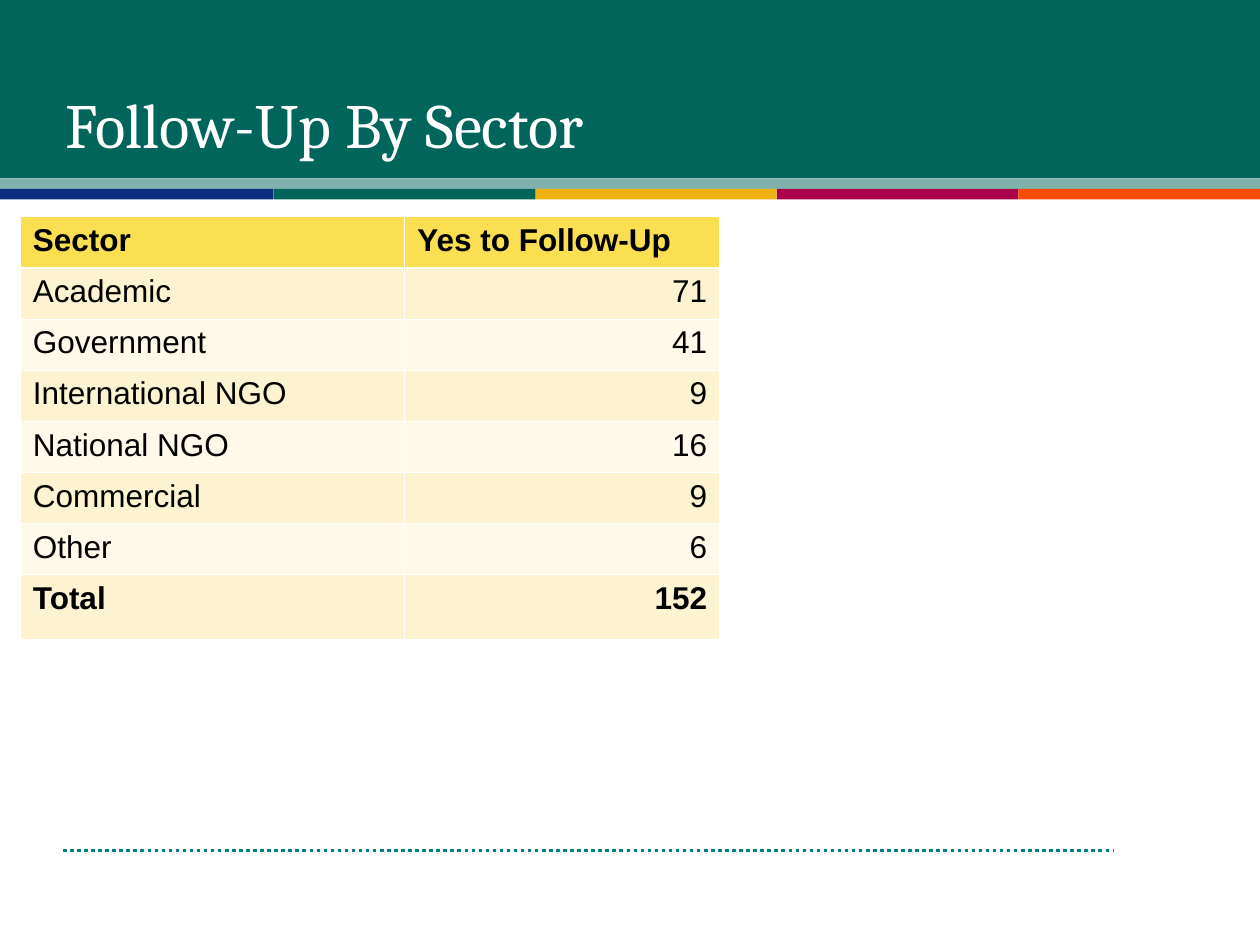
from itertools import pairwise

from lxml import etree
from pptx import Presentation
from pptx.dml.color import RGBColor
from pptx.enum import dml, shapes, text
from pptx.oxml import ns
from pptx.util import Cm, Pt

SLIDE_WIDTH, SLIDE_HEIGHT = 25.4, 19.05
BAND_HEIGHT = 0.21
GREEN, WHITE, BLACK = "01655B", "FFFFFF", "000000"
HEADER_FILL, ROW_FILLS = "FBDF53", ("FEF9E9", "FDF3D1")
STRIPE_EDGES = (0, 5.51, 10.8, 15.66, 20.53, SLIDE_WIDTH)
STRIPE_COLORS = ("0C2E82", GREEN, "EEB111", "AA014C", "F54C00")
SECTORS = [
    ("Sector", "Yes to Follow-Up"),
    ("Academic", "71"),
    ("Government", "41"),
    ("International NGO", "9"),
    ("National NGO", "16"),
    ("Commercial", "9"),
    ("Other", "6"),
    ("Total", "152"),
]


def color(value):
    return RGBColor.from_string(value)


def add_run(paragraph, words, font_name, size, font_color, bold=False):
    run = paragraph.add_run()
    run.text = words
    run.font.name, run.font.size, run.font.bold = font_name, Pt(size), bold
    run.font.color.rgb = color(font_color)


def add_band(slide, left, top, width, height, fill):
    shape = slide.shapes.add_shape(
        shapes.MSO_SHAPE.RECTANGLE, Cm(left), Cm(top), Cm(width), Cm(height))
    shape.shadow.inherit = False
    shape.fill.solid()
    shape.fill.fore_color.rgb = color(fill)
    shape.line.fill.background()


def add_dotted_line(slide, left, right, top):
    line = slide.shapes.add_connector(
        shapes.MSO_CONNECTOR.STRAIGHT, Cm(left), Cm(top), Cm(right), Cm(top))
    line.line.color.rgb = color("008080")
    line.line.width = Pt(2)
    line.line.dash_style = dml.MSO_LINE.ROUND_DOT
    etree.SubElement(line._element.spPr, ns.qn("a:effectLst"))


def set_title(slide, words):
    title = slide.shapes.title
    title.left, title.top = Cm(1.07), Cm(0.84)
    title.width, title.height = Cm(22.86), Cm(3.28)
    frame = title.text_frame
    frame.word_wrap = True
    frame.vertical_anchor = text.MSO_ANCHOR.MIDDLE
    paragraph = frame.paragraphs[0]
    paragraph.alignment = text.PP_ALIGN.LEFT
    add_run(paragraph, words, "Cambria", 36, WHITE)
    # Bring the title in front of the header bands
    slide.shapes._spTree.append(title._element)


def set_borders(cell, widths):
    properties = cell._tc.get_or_add_tcPr()
    for position, (side, width) in enumerate(widths.items()):
        border = etree.Element(ns.qn(f"a:{side}"), w=str(Pt(width)))
        fill = etree.SubElement(border, ns.qn("a:solidFill"))
        etree.SubElement(fill, ns.qn("a:srgbClr"), val=WHITE)
        properties.insert(position, border)


def add_sector_table(slide):
    widths, row_height, total_height = (7.75, 6.35), 1.03, 1.3
    last = len(SECTORS) - 1
    table = slide.shapes.add_table(
        len(SECTORS), len(widths), Cm(0.41), Cm(4.37),
        Cm(sum(widths)), Cm(row_height * last + total_height)).table
    for column, width in zip(table.columns, widths):
        column.width = Cm(width)
    for i, values in enumerate(SECTORS):
        table.rows[i].height = Cm(total_height if i == last else row_height)
        for j, value in enumerate(values):
            cell = table.cell(i, j)
            cell.fill.solid()
            cell.fill.fore_color.rgb = color(ROW_FILLS[i % 2] if i else HEADER_FILL)
            # A heavier rule parts the header from the body
            set_borders(cell, {"lnL": 0.45, "lnR": 0.45,
                               "lnT": 1.47 if i == 1 else 0.45,
                               "lnB": 1.47 if i == 0 else 0.45})
            paragraph = cell.text_frame.paragraphs[0]
            if i and j:
                paragraph.alignment = text.PP_ALIGN.RIGHT
            add_run(paragraph, value, "Arial", 18, BLACK, bold=i in (0, last))


def main():
    presentation = Presentation()
    presentation.slide_width, presentation.slide_height = Cm(SLIDE_WIDTH), Cm(SLIDE_HEIGHT)
    slide = presentation.slides.add_slide(presentation.slide_layouts[5])

    # Footer rule and header bands
    add_dotted_line(slide, 1.27, 22.43, 17.15)
    add_band(slide, 0, 0, SLIDE_WIDTH, 3.6, GREEN)
    add_band(slide, 0, 3.6, SLIDE_WIDTH, BAND_HEIGHT, "80B2AD")
    for (left, right), fill in zip(pairwise(STRIPE_EDGES), STRIPE_COLORS):
        add_band(slide, left, 3.81, right - left, BAND_HEIGHT, fill)

    # Content
    set_title(slide, "Follow-Up By Sector")
    add_sector_table(slide)
    presentation.save("out.pptx")


if __name__ == "__main__":
    main()
